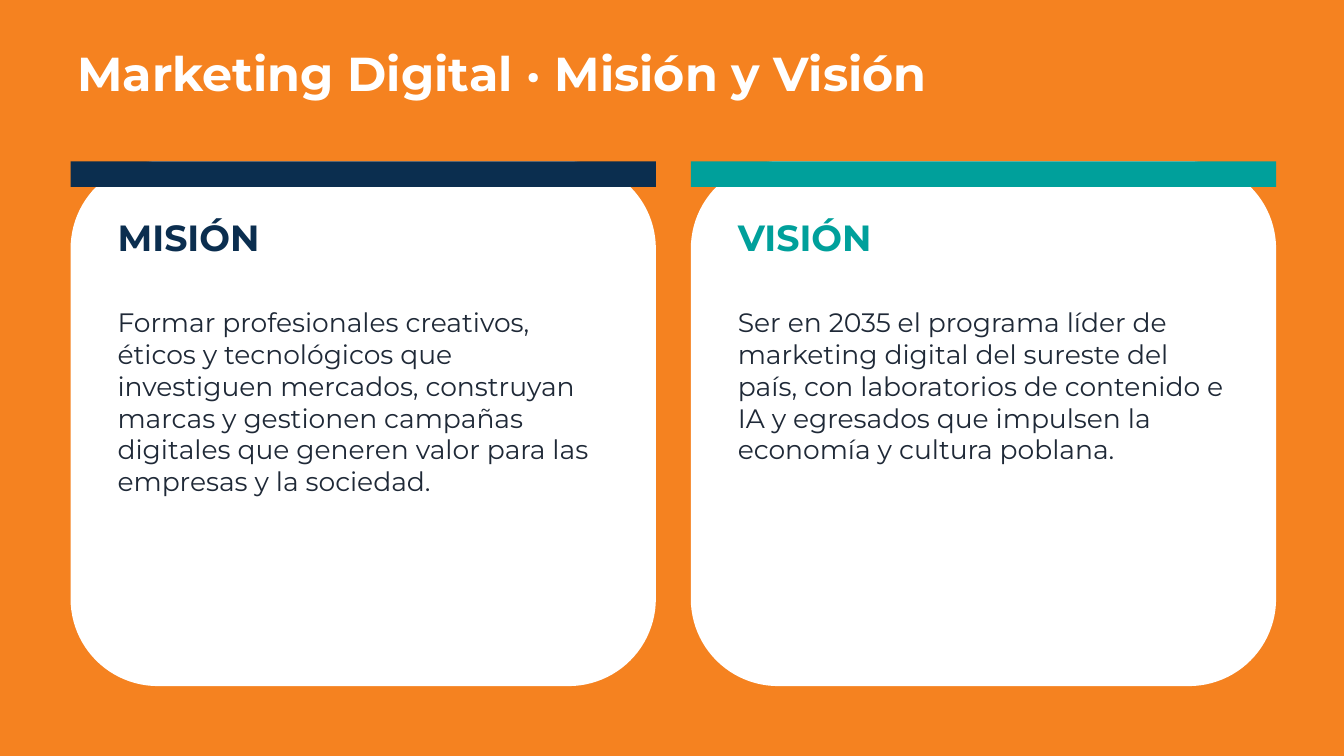
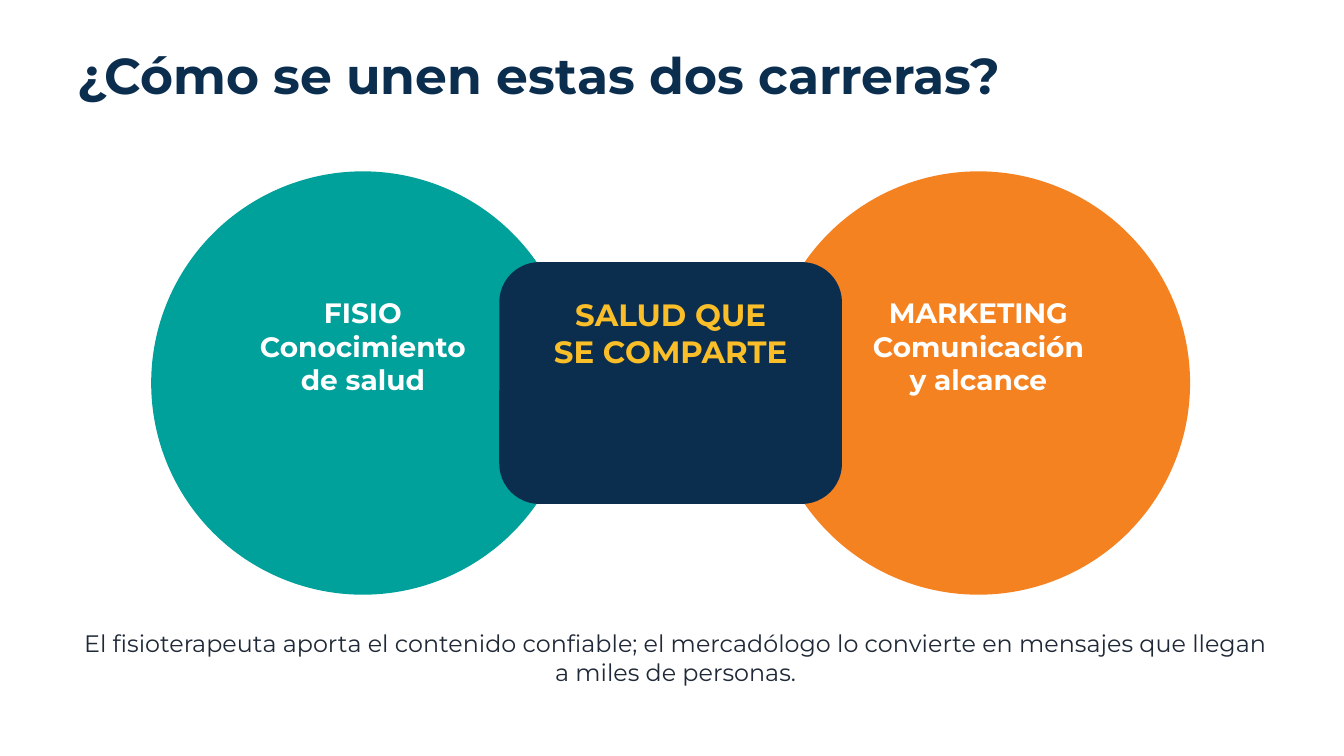
"""Build two slides on the mission, vision and union of two degrees."""
from pptx import Presentation
from pptx.dml.color import RGBColor
from pptx.enum import shapes, text
from pptx.util import Inches, Pt

WHITE = RGBColor(0xFF, 0xFF, 0xFF)
ORANGE = RGBColor(0xF5, 0x82, 0x20)
NAVY = RGBColor(0x0B, 0x2E, 0x4F)
TEAL = RGBColor(0x00, 0xA0, 0x9B)
YELLOW = RGBColor(0xFA, 0xBE, 0x28)
INK = RGBColor(0x1F, 0x29, 0x37)
FONT = "Montserrat"
LEFT, CENTER = text.PP_ALIGN.LEFT, text.PP_ALIGN.CENTER
RECTANGLE = shapes.MSO_SHAPE.RECTANGLE
ROUNDED = shapes.MSO_SHAPE.ROUNDED_RECTANGLE
OVAL = shapes.MSO_SHAPE.OVAL

CARDS = [
    ("MISIÓN", NAVY,
     "Formar profesionales creativos, éticos y tecnológicos que investiguen "
     "mercados, construyan marcas y gestionen campañas digitales que generen "
     "valor para las empresas y la sociedad."),
    ("VISIÓN", TEAL,
     "Ser en 2035 el programa líder de marketing digital del sureste del país, "
     "con laboratorios de contenido e IA y egresados que impulsen la economía "
     "y cultura poblana."),
]
CAREERS = [
    (2.25, TEAL, ["FISIO", "Conocimiento", "de salud"]),
    (11.41, ORANGE, ["MARKETING", "Comunicación", "y alcance"]),
]
UNION = ["SALUD QUE", "SE COMPARTE"]
SUMMARY = ("El fisioterapeuta aporta el contenido confiable; el mercadólogo lo "
           "convierte en mensajes que llegan a miles de personas.")

CARD_LEFT, CARD_TOP, CARD_WIDTH, CARD_HEIGHT = 1.05, 2.4, 8.71, 7.81
CARD_STEP, CARD_PADDING, CARD_RADIUS = 9.23, 0.7, 1.3
CIRCLE_TOP, CIRCLE_SIZE, LABEL_INSET = 2.55, 6.3, 0.7
UNION_LEFT, UNION_TOP, UNION_WIDTH, UNION_HEIGHT = 7.43, 3.9, 5.1, 3.6
UNION_RADIUS, UNION_INSET = 0.6, 0.25
LABEL_TOP, LABEL_HEIGHT = 4.4, 2.9
WIDE_LEFT, WIDE_WIDTH, WIDE_HEIGHT = 1.15, 17.81, 1.4


def place(box, left, top, width, height):
    box.left, box.top = Inches(left), Inches(top)
    box.width, box.height = Inches(width), Inches(height)


def write(box, lines, size, color, bold=False, align=LEFT):
    frame = box.text_frame
    frame.word_wrap = True
    frame.auto_size = text.MSO_AUTO_SIZE.NONE
    frame.vertical_anchor = text.MSO_ANCHOR.TOP
    frame.margin_left = frame.margin_right = 0
    frame.margin_top = frame.margin_bottom = 0
    for index, line in enumerate(lines):
        para = frame.add_paragraph() if index else frame.paragraphs[0]
        para.alignment = align
        para.line_spacing = Pt(size * 1.2)
        span = para.add_run()
        span.text = line
        span.font.name = FONT
        span.font.size = Pt(size)
        span.font.bold = bold
        span.font.color.rgb = color


def add_text(page, area, lines, size, color, bold=False, align=LEFT):
    box = page.shapes.add_textbox(*map(Inches, area))
    write(box, lines, size, color, bold, align)


def add_block(page, kind, area, color, radius=None):
    block = page.shapes.add_shape(kind, *map(Inches, area))
    block.shadow.inherit = False
    block.fill.solid()
    block.fill.fore_color.rgb = color
    block.line.fill.background()
    if radius:
        block.adjustments[0] = radius / min(area[2:])


def add_page(deck, title, size, color, background):
    page = deck.slides.add_slide(deck.slide_layouts.get_by_name("Title Only"))
    page.background.fill.solid()
    page.background.fill.fore_color.rgb = background
    place(page.shapes.title, WIDE_LEFT, 0.65, WIDE_WIDTH, WIDE_HEIGHT)
    write(page.shapes.title, [title], size, color, bold=True)
    return page


def build_mission(deck):
    page = add_page(deck, "Marketing Digital · Misión y Visión", 51, WHITE, ORANGE)
    inner_width = CARD_WIDTH - 2 * CARD_PADDING
    for index, (heading, color, body) in enumerate(CARDS):
        left = CARD_LEFT + index * CARD_STEP
        inner_left = left + CARD_PADDING
        add_block(page, ROUNDED, (left, CARD_TOP, CARD_WIDTH, CARD_HEIGHT),
                  WHITE, CARD_RADIUS)
        add_block(page, RECTANGLE, (left, CARD_TOP, CARD_WIDTH, 0.38), color)
        add_text(page, (inner_left, 3.2, inner_width, 1.1), [heading], 39, color,
                 bold=True)
        add_text(page, (inner_left, 4.55, inner_width, 5.3), [body], 28.5, INK)


def build_union(deck):
    page = add_page(deck, "¿Cómo se unen estas dos carreras?", 54, NAVY, WHITE)
    for left, color, _ in CAREERS:
        add_block(page, OVAL, (left, CIRCLE_TOP, CIRCLE_SIZE, CIRCLE_SIZE), color)
    add_block(page, ROUNDED, (UNION_LEFT, UNION_TOP, UNION_WIDTH, UNION_HEIGHT),
              NAVY, UNION_RADIUS)
    for left, _, lines in CAREERS:
        area = (left + LABEL_INSET, LABEL_TOP,
                CIRCLE_SIZE - 2 * LABEL_INSET, LABEL_HEIGHT)
        add_text(page, area, lines, 30, WHITE, bold=True, align=CENTER)
    area = (UNION_LEFT + UNION_INSET, LABEL_TOP,
            UNION_WIDTH - 2 * UNION_INSET, LABEL_HEIGHT)
    add_text(page, area, UNION, 33, YELLOW, bold=True, align=CENTER)
    add_text(page, (WIDE_LEFT, 9.36, WIDE_WIDTH, WIDE_HEIGHT), [SUMMARY], 25.5, INK,
             align=CENTER)


def main():
    deck = Presentation()
    deck.slide_width, deck.slide_height = Inches(20), Inches(11.25)
    build_mission(deck)
    build_union(deck)
    deck.save("out.pptx")


if __name__ == "__main__":
    main()
